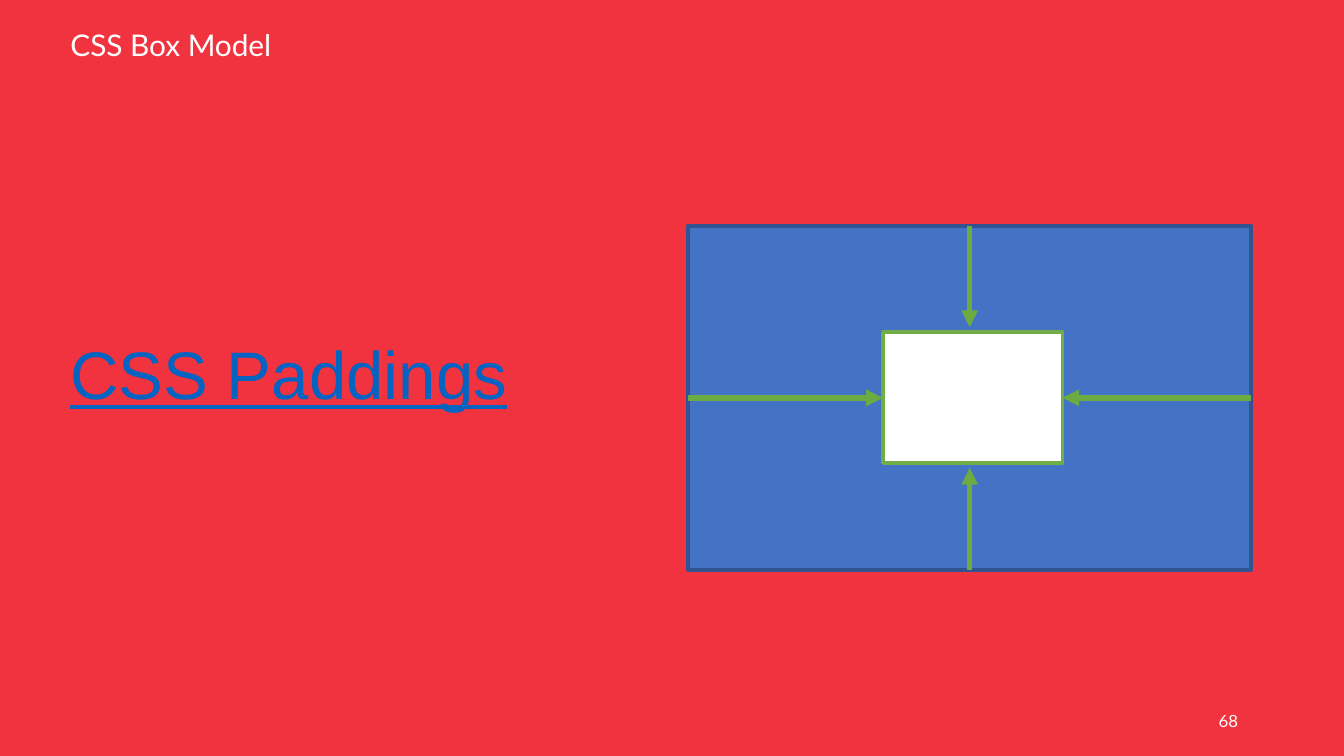
from dataclasses import dataclass

from lxml.etree import SubElement
from pptx import Presentation
from pptx.dml.color import RGBColor
from pptx.enum.shapes import MSO_CONNECTOR, MSO_SHAPE
from pptx.enum.text import MSO_ANCHOR, PP_ALIGN
from pptx.oxml.ns import qn
from pptx.slide import Slide
from pptx.util import Emu, Pt

EMU_PER_PX = 4572  # 200 px to the inch
SLIDE_WIDTH, SLIDE_HEIGHT = 2000, 1125
RED, WHITE, LINK_BLUE = "F1333F", "FFFFFF", "0563C1"
ARROW_GREEN = "6CAB42"


@dataclass(frozen=True)
class Rectangle:
    left: int
    top: int
    width: int
    height: int
    fill: str
    line: str | None = None


@dataclass(frozen=True)
class Label:
    text: str
    left: int
    top: int
    width: int
    height: int
    size: int
    font: str = "Lato"
    color: str = WHITE
    align: PP_ALIGN = PP_ALIGN.LEFT
    line_spacing: float = 1.0
    underline: bool = False


@dataclass(frozen=True)
class Arrow:
    start: tuple[int, int]
    end: tuple[int, int]


BACKDROP = Rectangle(0, 0, SLIDE_WIDTH, SLIDE_HEIGHT, RED)
PADDING_AREA = Rectangle(1024, 336, 838, 512, "4472C4", "31538F")
CONTENT_AREA = Rectangle(1314, 494, 267, 195, WHITE, "70AD47")

LABELS = [
    Label("CSS Paddings", 85, 500, 812, 124, 36, "Arial", LINK_BLUE,
          line_spacing=0.9, underline=True),
    Label("68", 1412, 1043, 450, 60, 9, align=PP_ALIGN.RIGHT),
    Label("CSS Box Model", 85, 28, 938, 88, 16, line_spacing=0.8),
]


def px(length: int) -> Emu:
    return Emu(length * EMU_PER_PX)


def rgb(color: str) -> RGBColor:
    return RGBColor.from_string(color)


def draw_rectangle(page: Slide, item: Rectangle) -> None:
    shape = page.shapes.add_shape(
        MSO_SHAPE.RECTANGLE,
        px(item.left), px(item.top), px(item.width), px(item.height))
    shape.shadow.inherit = False
    shape.fill.solid()
    shape.fill.fore_color.rgb = rgb(item.fill)
    if item.line:
        shape.line.color.rgb = rgb(item.line)
        shape.line.width = Pt(2)
    else:
        shape.line.fill.background()


def draw_label(page: Slide, label: Label) -> None:
    box = page.shapes.add_textbox(
        px(label.left), px(label.top), px(label.width), px(label.height))
    frame = box.text_frame
    frame.word_wrap = True
    frame.vertical_anchor = MSO_ANCHOR.MIDDLE
    frame.text = label.text
    para = frame.paragraphs[0]
    para.alignment = label.align
    para.line_spacing = label.line_spacing
    font = para.runs[0].font
    font.name = label.font
    font.size = Pt(label.size)
    font.color.rgb = rgb(label.color)
    font.underline = label.underline


def draw_arrow(page: Slide, arrow: Arrow) -> None:
    connector = page.shapes.add_connector(
        MSO_CONNECTOR.STRAIGHT, *map(px, arrow.start + arrow.end))
    connector.line.color.rgb = rgb(ARROW_GREEN)
    connector.line.width = Pt(3)
    SubElement(connector.get_or_add_ln(), qn("a:tailEnd"), type="triangle")
    SubElement(connector.element.spPr, qn("a:effectLst"))


def padding_arrows(outer: Rectangle, inner: Rectangle) -> list[Arrow]:
    """One arrow from each outer edge inwards, vertical ones ending in a gap."""
    x = outer.left + outer.width // 2
    y = outer.top + outer.height // 2
    right, bottom = outer.left + outer.width, outer.top + outer.height
    gap = 7
    return [
        Arrow((x, outer.top), (x, inner.top - gap)),
        Arrow((right, y), (inner.left + inner.width, y)),
        Arrow((x, bottom), (x, inner.top + inner.height + gap)),
        Arrow((outer.left, y), (inner.left, y)),
    ]


def main() -> None:
    deck = Presentation()
    deck.slide_width, deck.slide_height = px(SLIDE_WIDTH), px(SLIDE_HEIGHT)
    page = deck.slides.add_slide(deck.slide_layouts[6])

    draw_rectangle(page, BACKDROP)
    for label in LABELS:
        draw_label(page, label)
    for area in (PADDING_AREA, CONTENT_AREA):
        draw_rectangle(page, area)
    for arrow in padding_arrows(PADDING_AREA, CONTENT_AREA):
        draw_arrow(page, arrow)

    deck.save("out.pptx")


if __name__ == "__main__":
    main()
